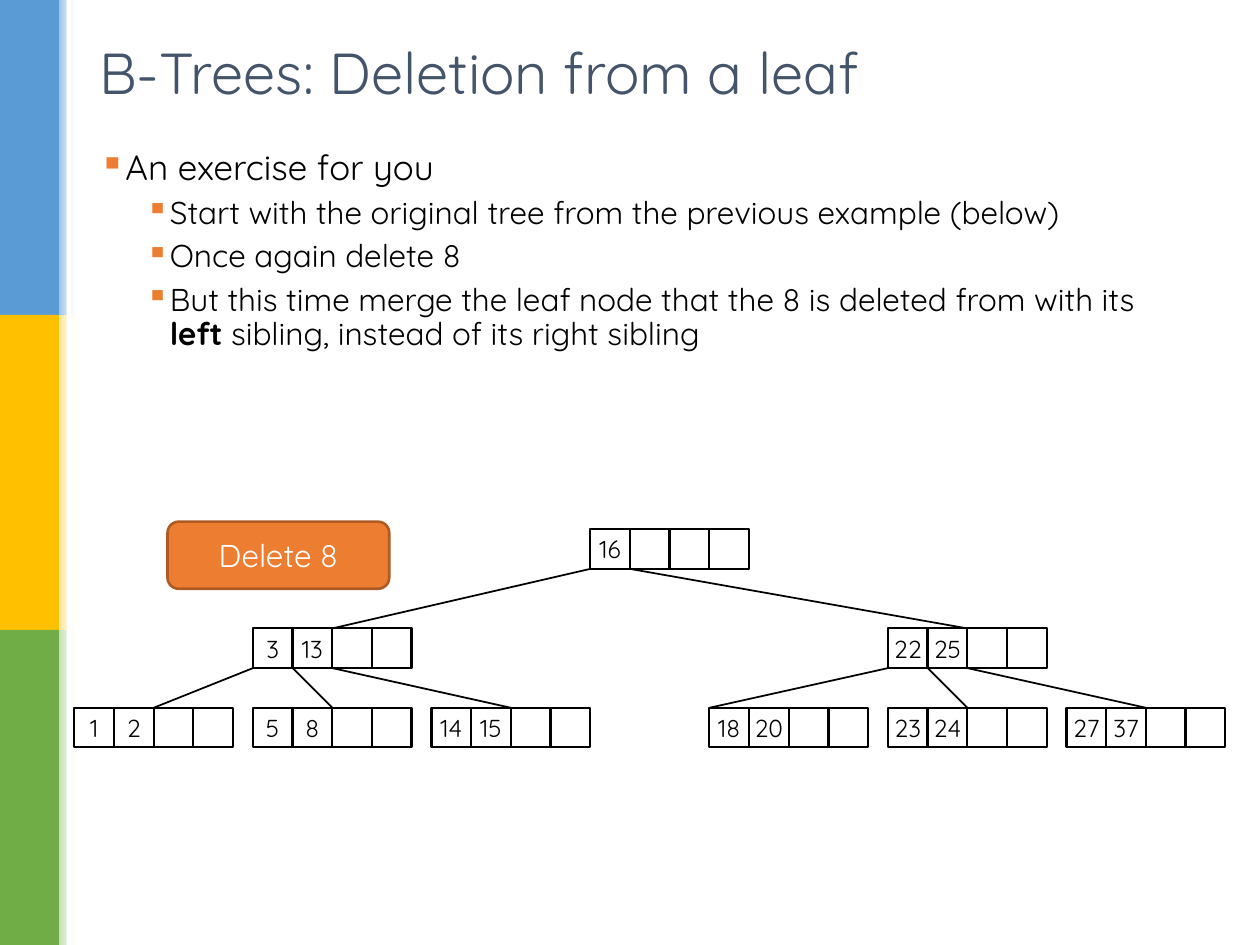
from lxml.etree import SubElement
from pptx import Presentation
from pptx.dml.color import RGBColor
from pptx.enum.shapes import MSO_CONNECTOR, MSO_SHAPE
from pptx.enum.text import MSO_ANCHOR, PP_ALIGN
from pptx.oxml.ns import qn
from pptx.util import Inches, Pt

COLORS = {
    "black": "000000", "white": "FFFFFF", "title": "44546A",
    "blue": "5B9BD5", "yellow": "FFC000", "green": "70AD47",
    "light blue": "9DC3E6", "light yellow": "FFE699", "light green": "C5E0B4",
    "orange": "ED7D31", "dark orange": "AF5C24",
}
RGB = {name: RGBColor.from_string(value) for name, value in COLORS.items()}

deck = Presentation()
deck.slide_width, deck.slide_height = Inches(10), Inches(7.5)
W, H = deck.slide_width, deck.slide_height
slide = deck.slides.add_slide(deck.slide_layouts[6])
shapes = slide.shapes


def add_block(kind, left, top, width, height, fill=None, line=None, weight=1.25):
    block = shapes.add_shape(kind, int(left), int(top), int(width), int(height))
    block.shadow.inherit = False
    if fill:
        block.fill.solid()
        block.fill.fore_color.rgb = RGB[fill]
    else:
        block.fill.background()
    if line:
        block.line.color.rgb = RGB[line]
        block.line.width = Pt(weight)
    else:
        block.line.fill.background()
    return block


def write(paragraph, text, size, color="black", bold=False):
    run = paragraph.add_run()
    run.text = text
    for name, value in {"name": "Quicksand", "size": Pt(size), "bold": bold}.items():
        setattr(run.font, name, value)
    run.font.color.rgb = RGB[color]


# Side band: three colours, each with a strip fading to white
band_width, fade_width = 0.047 * W, 0.012 * W
for third, hue in enumerate(["blue", "yellow", "green"]):
    top = third * H / 3
    add_block(MSO_SHAPE.RECTANGLE, 0, top, band_width, H / 3, hue)
    fade = add_block(MSO_SHAPE.RECTANGLE, band_width, top, fade_width, H / 3).fill
    fade.gradient()
    fade.gradient_angle = 0
    for stop, shade in zip(fade.gradient_stops, ["light " + hue, "white"]):
        stop.color.rgb = RGB[shade]
add_block(MSO_SHAPE.RECTANGLE, 0.053 * W, 0, 0.004 * W, H, "white")

# Title
heading = shapes.add_textbox(
    int(0.069 * W), int(0.035 * H), int(0.862 * W), int(0.09 * H)).text_frame
for name, value in {"word_wrap": True, "vertical_anchor": MSO_ANCHOR.MIDDLE}.items():
    setattr(heading, name, value)
heading.paragraphs[0].line_spacing = 0.9
write(heading.paragraphs[0], "B-Trees: Deletion from a leaf", 33, "title")

# Exercise: level and (text, bold) pieces of each bullet
EXERCISE = [
    (0, [("An exercise for you", False)]),
    (1, [("Start with the original tree from the previous example (below)", False)]),
    (1, [("Once again delete 8", False)]),
    (1, [("But this time merge the leaf node that the 8 is deleted from with its ", False),
         ("left", True), (" sibling, instead of its right sibling", False)]),
]
exercise = shapes.add_textbox(
    int(0.069 * W), int(0.152 * H), int(0.886 * W), int(0.475 * H)).text_frame
exercise.word_wrap = True
for number, (level, pieces) in enumerate(EXERCISE):
    bullet = exercise.add_paragraph() if number else exercise.paragraphs[0]
    size = [20, 18][level]
    for name, value in {"level": level, "line_spacing": 0.9,
                        "space_before": Pt(0.3 * size)}.items():
        setattr(bullet, name, value)
    for text, bold in pieces:
        write(bullet, text, size, bold=bold)
    layout = bullet._p.get_or_add_pPr()
    layout.set("marL", str(Inches([0.19, 0.56][level])))
    layout.set("indent", str(Inches(-0.19)))
    bullet_color = SubElement(layout, qn("a:buClr"))
    SubElement(bullet_color, qn("a:srgbClr"), val=COLORS["orange"])
    SubElement(layout, qn("a:buChar"), char="▪")

# Delete button
button = add_block(MSO_SHAPE.ROUNDED_RECTANGLE, 0.133 * W, 0.552 * H,
                   0.176 * W, 0.071 * H, "orange", "dark orange", 1.5).text_frame
button.vertical_anchor = MSO_ANCHOR.MIDDLE
button.paragraphs[0].alignment = PP_ALIGN.CENTER
write(button.paragraphs[0], "Delete 8", 18, "white")

# Tree on a grid of square cells: column, row and keys of each node
CELL = 0.0315 * W
TREE_LEFT, TREE_TOP = 0.059 * W, 0.56 * H
SLOTS = 4
NODES = {
    "root": (13, 0, [16]),
    "left": (4.5, 2.5, [3, 13]),
    "right": (20.5, 2.5, [22, 25]),
    "leaf 1": (0, 4.5, [1, 2]),
    "leaf 2": (4.5, 4.5, [5, 8]),
    "leaf 3": (9, 4.5, [14, 15]),
    "leaf 4": (16, 4.5, [18, 20]),
    "leaf 5": (20.5, 4.5, [23, 24]),
    "leaf 6": (25, 4.5, [27, 37]),
}
for column, row, keys in NODES.values():
    for slot in range(SLOTS):
        cell = add_block(MSO_SHAPE.RECTANGLE, TREE_LEFT + (column + slot) * CELL,
                         TREE_TOP + row * CELL, CELL, CELL, line="black")
        if slot < len(keys):
            key = cell.text_frame
            for name, value in {"margin_left": 0, "margin_right": 0,
                                "vertical_anchor": MSO_ANCHOR.MIDDLE}.items():
                setattr(key, name, value)
            key.paragraphs[0].alignment = PP_ALIGN.CENTER
            write(key.paragraphs[0], str(keys[slot]), 14)

# Branches leave successive key borders and reach the middle of the child,
# except for leaf 4, which is reached at its left corner
CHILDREN = {
    "root": ["left", "right"],
    "left": ["leaf 1", "leaf 2", "leaf 3"],
    "right": ["leaf 4", "leaf 5", "leaf 6"],
}
for parent, children in CHILDREN.items():
    parent_column, parent_row, _ = NODES[parent]
    for border, child in enumerate(children):
        child_column, child_row, _ = NODES[child]
        landing = 0 if child == "leaf 4" else SLOTS / 2
        branch = shapes.add_connector(
            MSO_CONNECTOR.STRAIGHT,
            int(TREE_LEFT + (parent_column + border) * CELL),
            int(TREE_TOP + (parent_row + 1) * CELL),
            int(TREE_LEFT + (child_column + landing) * CELL),
            int(TREE_TOP + child_row * CELL))
        branch.line.color.rgb = RGB["black"]
        branch.line.width = Pt(1)
        SubElement(branch._element.spPr, qn("a:effectLst"))

deck.save("out.pptx")
